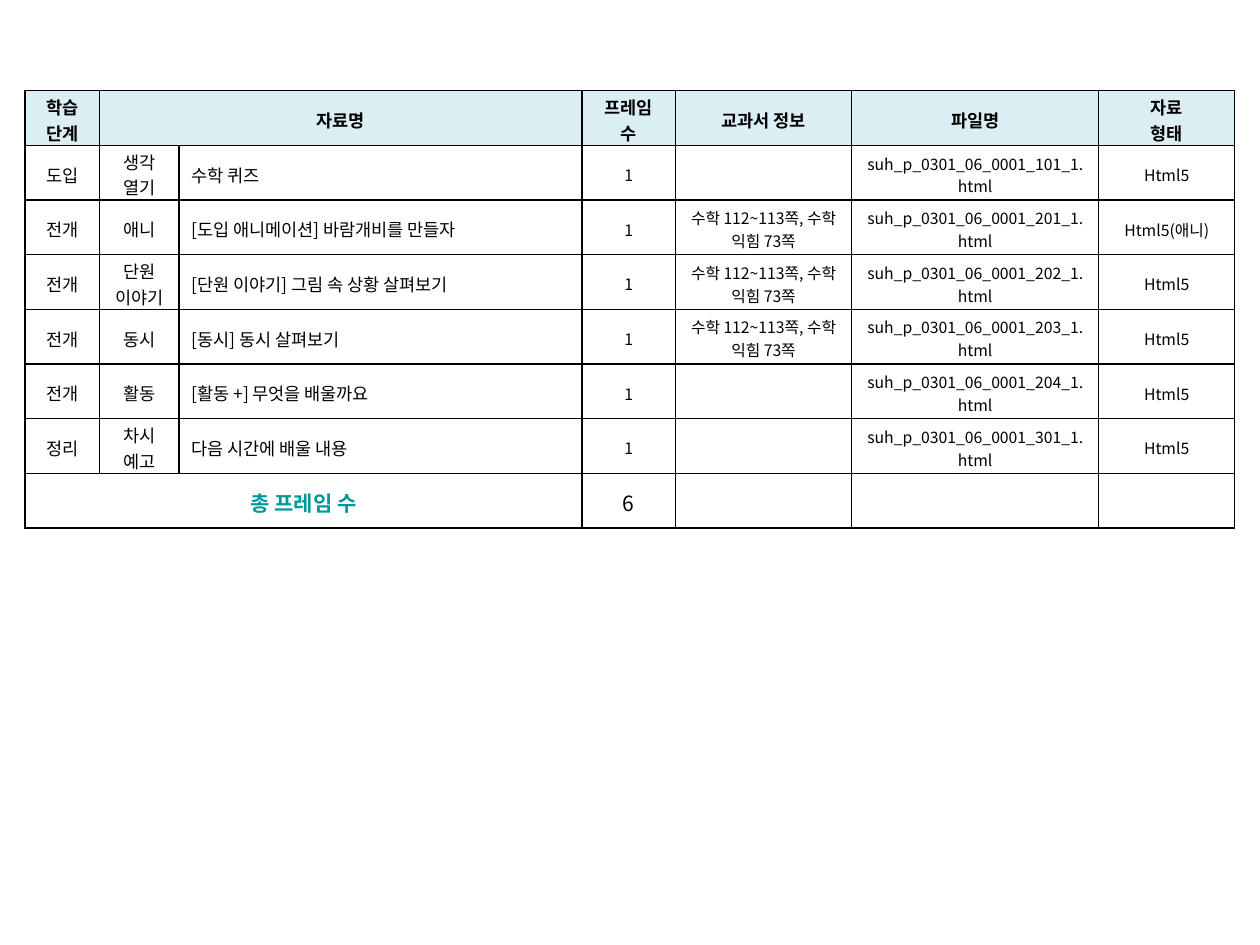
import pptx
import pptx.dml.color
import pptx.enum.text
import pptx.oxml.ns
import pptx.util
from lxml import etree

FONT = "Noto Sans CJK KR"
BLACK, TEAL, PALE_BLUE = "000000", "009999", "DBEEF4"
COLUMN_WIDTHS = [0.59, 0.63, 3.2, 0.74, 1.4, 1.96, 1.08]
COLUMN_SIZES = [10, 10, 10, 9, 9, 9, 9]
TITLE_COLUMN = 2
ROW_HEIGHT = 0.434
LEFT, TOP = 0.2, 0.72

PAGES = "수학 112~113쪽, 수학 익힘 73쪽"
HEADER = ["학습 단계", "자료명", "", "프레임 수", "교과서 정보", "파일명", "자료\n형태"]
TOTAL = ["총 프레임 수", "", "", "6", "", "", ""]
# stage, activity, title, textbook pages, file number, format
MATERIALS = [
    ("도입", "생각\n열기", "수학 퀴즈", "", 101, "Html5"),
    ("전개", "애니", "[도입 애니메이션] 바람개비를 만들자", PAGES, 201, "Html5(애니)"),
    ("전개", "단원\n이야기", "[단원 이야기] 그림 속 상황 살펴보기", PAGES, 202, "Html5"),
    ("전개", "동시", "[동시] 동시 살펴보기", PAGES, 203, "Html5"),
    ("전개", "활동", "[활동 +] 무엇을 배울까요", "", 204, "Html5"),
    ("정리", "차시 예고", "다음 시간에 배울 내용", "", 301, "Html5"),
]


def rgb(color):
    return pptx.dml.color.RGBColor.from_string(color)


def add_element(parent, tag, **attributes):
    return etree.SubElement(parent, pptx.oxml.ns.qn(tag), **attributes)


def set_borders(cell, color=BLACK, width=1):
    tc_pr = cell._tc.get_or_add_tcPr()
    for side in ("L", "R", "T", "B"):
        line = add_element(tc_pr, f"a:ln{side}", w=str(pptx.util.Pt(width)))
        fill = add_element(line, "a:solidFill")
        add_element(fill, "a:srgbClr", val=color)


def set_font(p, size, color, bold):
    p.font.size = pptx.util.Pt(size)
    p.font.bold = bold
    p.font.color.rgb = rgb(color)
    p.font.name = FONT
    add_element(p._p.pPr.defRPr, "a:ea", typeface=FONT)


def fill_cell(cell, text, size, color=BLACK, bold=False, fill=None, centered=True):
    set_borders(cell)
    if fill:
        cell.fill.solid()
        cell.fill.fore_color.rgb = rgb(fill)
    else:
        cell.fill.background()
    # Tight margins let two lines fit the row height
    cell.margin_top, cell.margin_bottom = pptx.util.Inches(0.03), 0
    cell.vertical_anchor = pptx.enum.text.MSO_ANCHOR.MIDDLE
    cell.text = text
    align = pptx.enum.text.PP_ALIGN
    for p in cell.text_frame.paragraphs:
        p.alignment = align.CENTER if centered else align.LEFT
        set_font(p, size, color, bold)


def add_grid(slide, row_count):
    """Add an unstyled table with the column widths and row height of the plan."""
    frame = slide.shapes.add_table(
        row_count, len(COLUMN_WIDTHS),
        pptx.util.Inches(LEFT), pptx.util.Inches(TOP),
        pptx.util.Inches(sum(COLUMN_WIDTHS)),
        pptx.util.Inches(ROW_HEIGHT * row_count))
    table = frame.table
    table.first_row = table.horz_banding = False
    for column, width in zip(table.columns, COLUMN_WIDTHS):
        column.width = pptx.util.Inches(width)
    for row in table.rows:
        row.height = pptx.util.Inches(ROW_HEIGHT)
    return table


def add_materials_table(slide):
    last = len(MATERIALS) + 1
    table = add_grid(slide, last + 1)
    for c, text in enumerate(HEADER):
        fill_cell(table.cell(0, c), text, 10, bold=True, fill=PALE_BLUE)
    for r, (stage, activity, title, pages, number, kind) in enumerate(MATERIALS, 1):
        file_name = f"suh_p_0301_06_0001_{number}_1.html"
        texts = [stage, activity, title, "1", pages, file_name, kind]
        for c, (text, size) in enumerate(zip(texts, COLUMN_SIZES)):
            fill_cell(table.cell(r, c), text, size, centered=c != TITLE_COLUMN)
    for c, text in enumerate(TOTAL):
        is_label = c <= TITLE_COLUMN
        fill_cell(table.cell(last, c), text, 12,
                  color=TEAL if is_label else BLACK, bold=is_label)
    table.cell(0, 1).merge(table.cell(0, TITLE_COLUMN))
    table.cell(last, 0).merge(table.cell(last, TITLE_COLUMN))


def main():
    prs = pptx.Presentation()
    prs.slide_width = pptx.util.Inches(10)
    prs.slide_height = pptx.util.Inches(7.5)
    slide = prs.slides.add_slide(prs.slide_layouts[6])
    add_materials_table(slide)
    prs.save("out.pptx")


if __name__ == "__main__":
    main()
